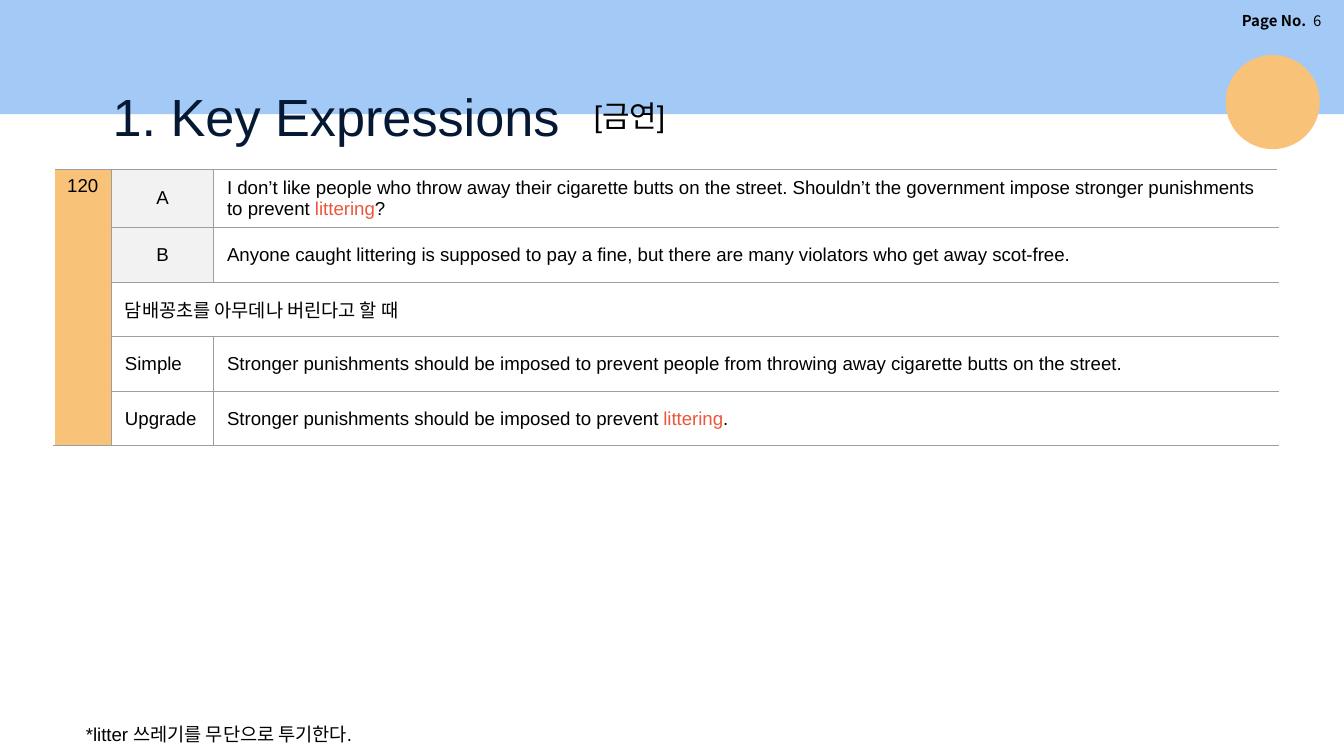
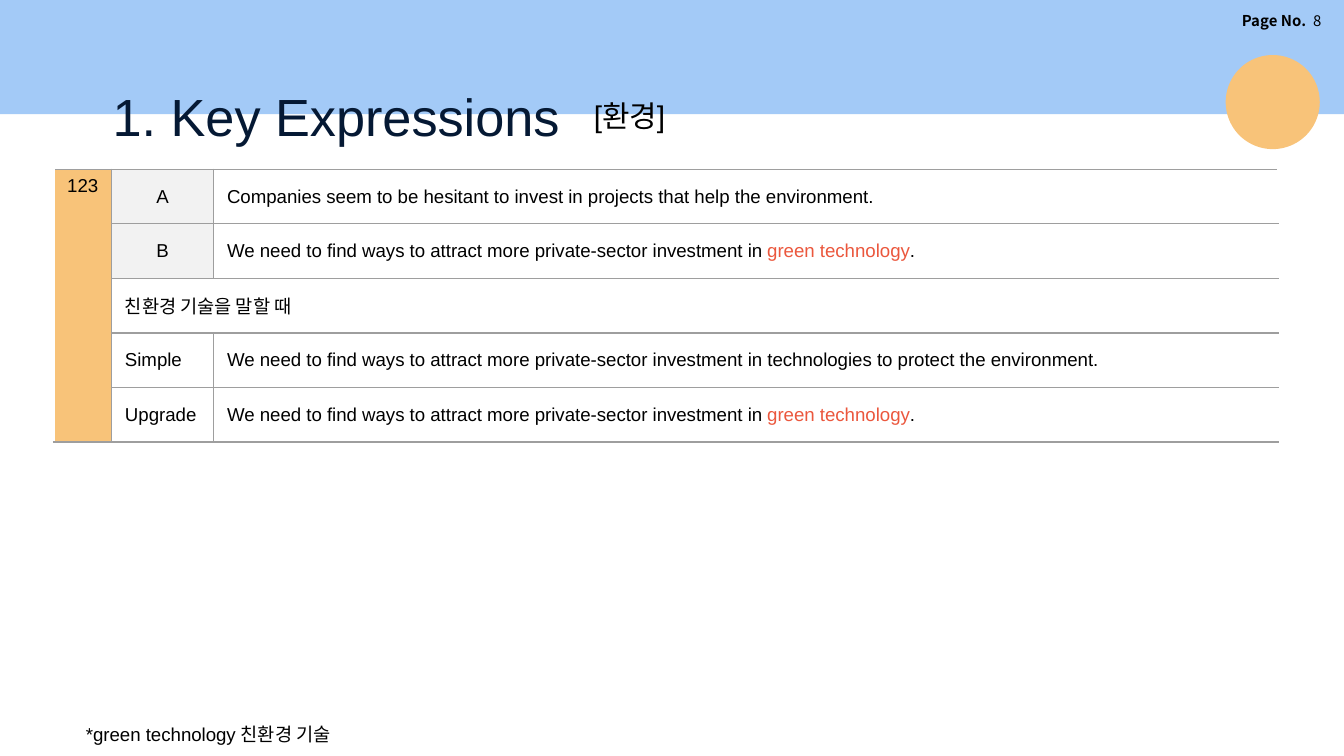
from lxml import etree
from pptx import Presentation
from pptx.dml.color import RGBColor
from pptx.enum.shapes import MSO_SHAPE
from pptx.enum.text import MSO_ANCHOR, PP_ALIGN
from pptx.oxml.ns import qn
from pptx.util import Inches, Pt

RECT, OVAL = MSO_SHAPE.RECTANGLE, MSO_SHAPE.OVAL
LEFT, MID, RIGHT = PP_ALIGN.LEFT, PP_ALIGN.CENTER, PP_ALIGN.RIGHT
TOP, CENTER = MSO_ANCHOR.TOP, MSO_ANCHOR.MIDDLE

HUES = {"band": "A3CAF7", "sun": "F8C379", "navy": "051934", "ink": "000000",
        "mark": "EB573D", "pale": "F2F2F2", "rule": "9E9E9E", "white": "FFFFFF"}

# The slide is 100 grid columns wide and 56.25 grid rows high
WIDE, HIGH = Inches(10), Inches(5.625)
UNIT = WIDE / 100

FONTS = {
    "title": {"name": "Arial", "size": Pt(28)},
    "topic": {"name": "Arial", "size": Pt(16)},
    "body": {"name": "Arial", "size": Pt(10)},
    "page": {"name": "Noto Sans CJK KR", "size": Pt(8), "bold": False},
    "label": {"name": "Noto Sans CJK KR", "size": Pt(8), "bold": True},
}
COLS = (4.3, 7.6, 79.2)
TAGS = ("A", "B", None, "Simple", "Upgrade")

# Text between bars is highlighted
PAGES = [
    {"page": "6", "topic": "[금연]", "number": "120",
     "lines": (
         "I don’t like people who throw away their cigarette butts on the street. "
         "Shouldn’t the government impose stronger punishments to prevent |littering|?",
         "Anyone caught littering is supposed to pay a fine, but there are many "
         "violators who get away scot-free.",
         "담배꽁초를 아무데나 버린다고 할 때",
         "Stronger punishments should be imposed to prevent people from throwing "
         "away cigarette butts on the street.",
         "Stronger punishments should be imposed to prevent |littering|."),
     "note": "*litter 쓰레기를 무단으로 투기한다."},
    {"page": "8", "topic": "[환경]", "number": "123",
     "lines": (
         "Companies seem to be hesitant to invest in projects that help the environment.",
         "We need to find ways to attract more private-sector investment in "
         "|green technology|.",
         "친환경 기술을 말할 때",
         "We need to find ways to attract more private-sector investment in "
         "technologies to protect the environment.",
         "We need to find ways to attract more private-sector investment in "
         "|green technology|."),
     "note": "*green technology 친환경 기술"},
]


def grid(*box):
    return [round(n * UNIT) for n in box]


def hue(key):
    return RGBColor.from_string(HUES[key])


def add_run(para, text, style, color="ink"):
    run = para.add_run()
    run.text = text
    for name, value in FONTS[style].items():
        setattr(run.font, name, value)
    run.font.color.rgb = hue(color)


def add_block(slide, box, kind, color):
    shape = slide.shapes.add_shape(kind, *grid(*box))
    shape.shadow.inherit = False
    shape.fill.solid()
    shape.fill.fore_color.rgb = hue(color)
    shape.line.fill.background()


def add_text(slide, box, runs, align=LEFT, **frame):
    text = slide.shapes.add_textbox(*grid(*box)).text_frame
    for name, value in {"word_wrap": True, **frame}.items():
        setattr(text, name, value)
    para = text.paragraphs[0]
    para.alignment = align
    for run in runs:
        add_run(para, *run)


def add_edges(cell, edges):
    props = cell._tc.get_or_add_tcPr()
    for spot, (side, color) in enumerate(edges.items()):
        width = Pt(1) if color == "white" else Pt(0.75)
        line = etree.Element(qn("a:ln" + side), w=str(width))
        fill = etree.SubElement(line, qn("a:solidFill"))
        etree.SubElement(fill, qn("a:srgbClr"), val=HUES[color])
        props.insert(spot, line)


def fill_cell(cell, text, align=LEFT, anchor=CENTER):
    cell.vertical_anchor = anchor
    para = cell.text_frame.paragraphs[0]
    para.alignment = align
    for spot, part in enumerate(text.split("|")):
        add_run(para, part, "body", "mark" if spot % 2 else "ink")


def add_frame(slide, page):
    # Top band and page number
    add_block(slide, (0, 0, 100, 8.5), RECT, "band")
    add_text(slide, (84.8, 0.4, 14.5, 2.3),
             [("Page No.  ", "label"), (page, "page")], RIGHT)


def add_head(slide, topic):
    # Title, topic and disc
    add_text(slide, (7.4, 4.9, 35.8, 6.3),
             [("1. Key Expressions", "title", "navy")],
             margin_left=Inches(0.1), margin_right=Inches(0.1),
             margin_top=Inches(0.14))
    add_block(slide, (91.2, 4.1, 7, 7), OVAL, "sun")
    add_text(slide, (43.2, 6.8, 20, 3.7), [(topic, "topic")])


def add_talk(slide, box, number, lines):
    rows = len(TAGS)
    table = slide.shapes.add_table(rows, len(COLS), *grid(*box)).table
    table.first_row = table.horz_banding = False
    for col, wide in zip(table.columns, COLS):
        col.width = round(wide * UNIT)
    for row in table.rows:
        row.height = round(box[3] / rows * UNIT)

    # Fills and rules
    for r, tag in enumerate(TAGS):
        for c in range(len(COLS)):
            cell = table.cell(r, c)
            color = "sun" if c == 0 else "pale" if c == 1 and r < 2 else None
            if color:
                cell.fill.solid()
                cell.fill.fore_color.rgb = hue(color)
            else:
                cell.fill.background()
            last = c == 2 or (c == 1 and tag is None)
            add_edges(cell, {"L": "rule" if c else "white",
                             "R": "white" if last else "rule",
                             "T": "rule", "B": "rule"})

    # Number column
    first = table.cell(0, 0)
    first.merge(table.cell(rows - 1, 0))
    first.margin_right = Inches(0.05)
    fill_cell(first, number, anchor=TOP)

    # Tags and sentences
    for r, (tag, line) in enumerate(zip(TAGS, lines)):
        if tag is None:
            table.cell(r, 1).merge(table.cell(r, 2))
            fill_cell(table.cell(r, 1), line)
        else:
            fill_cell(table.cell(r, 1), tag, MID if r < 2 else LEFT)
            fill_cell(table.cell(r, 2), line)


def add_note(slide, note):
    add_text(slide, (5.4, 53.3, 54.8, 2.7), [(note, "body")])


def main():
    deck = Presentation()
    deck.slide_width, deck.slide_height = WIDE, HIGH
    for data in PAGES:
        slide = deck.slides.add_slide(deck.slide_layouts[6])
        add_frame(slide, data["page"])
        add_head(slide, data["topic"])
        add_talk(slide, (4, 12.6, sum(COLS), 20.3), data["number"], data["lines"])
        add_note(slide, data["note"])
    deck.save("out.pptx")


if __name__ == "__main__":
    main()
